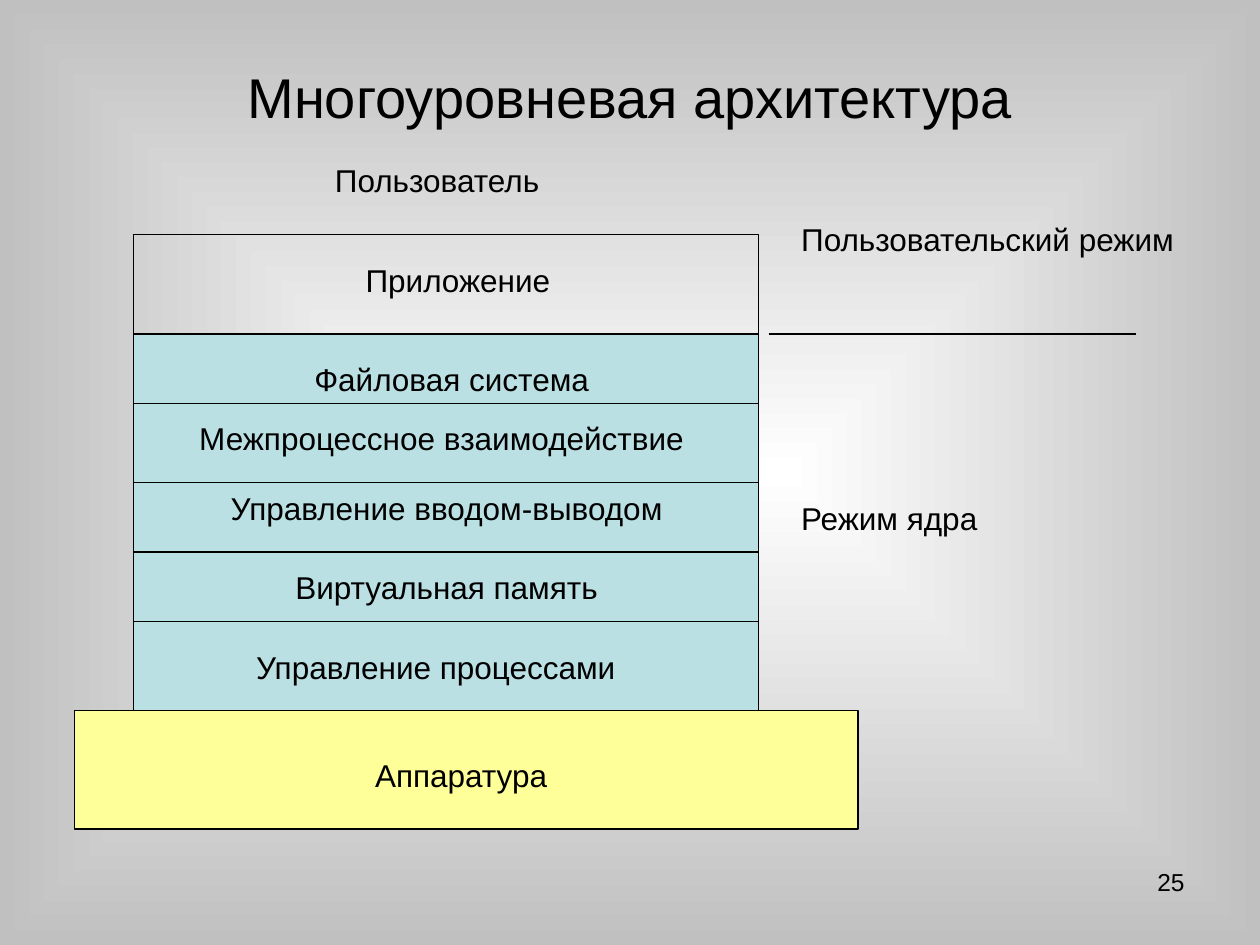
from lxml import etree
from pptx import Presentation
from pptx.dml.color import RGBColor
from pptx.enum.shapes import MSO_CONNECTOR, MSO_SHAPE
from pptx.enum.text import MSO_ANCHOR, PP_ALIGN
from pptx.oxml.ns import qn
from pptx.util import Inches, Pt

LEFT, CENTER, RIGHT = PP_ALIGN.LEFT, PP_ALIGN.CENTER, PP_ALIGN.RIGHT
MIDDLE = MSO_ANCHOR.MIDDLE
RECTANGLE = MSO_SHAPE.RECTANGLE
STRAIGHT = MSO_CONNECTOR.STRAIGHT

COLORS = {"ink": "000000", "kernel": "BBE0E3", "hardware": "FFFF99",
          "glow": "FFFFFF", "edge": "C0C0C0"}
FONT = "Arial"
TITLE = "Многоуровневая архитектура"
PAGE_NUMBER = "25"

STACK_LEFT, STACK_RIGHT = 1.06, 6.02
STACK_WIDTH = STACK_RIGHT - STACK_LEFT
APP_TOP, KERNEL_TOP, HARDWARE_TOP = 1.86, 2.65, 5.64
LAYER_BORDERS = [3.2, 3.83, 4.38, 4.93]
MODE_BORDER = (6.1, 9.02)
LABEL_HEIGHT = 0.4

BLOCKS = [
    (STACK_LEFT, KERNEL_TOP, STACK_WIDTH, HARDWARE_TOP - KERNEL_TOP, "kernel"),
    (STACK_LEFT, APP_TOP, STACK_WIDTH, KERNEL_TOP - APP_TOP, None),
    (0.59, HARDWARE_TOP, 6.22, 0.94, "hardware"),
]
LABELS = [
    ("Пользователь", 2.56, 1.23, 1.85, LEFT, False),
    ("Приложение", 2.8, 2.02, 1.67, CENTER, False),
    ("Файловая система", 1.38, 2.81, 4.41, CENTER, True),
    ("Межпроцессное взаимодействие", 1.22, 3.28, 4.57, CENTER, True),
    ("Управление вводом-выводом", 1.22, 3.83, 4.65, CENTER, True),
    ("Виртуальная память", 1.22, 4.46, 4.65, CENTER, True),
    ("Управление процессами", 1.06, 5.09, 4.8, CENTER, True),
    ("Аппаратура", 1.22, 5.95, 4.88, CENTER, True),
    ("Пользовательский режим", 6.26, 1.7, 3.31, LEFT, True),
    ("Режим ядра", 6.26, 3.91, 3.23, LEFT, True),
]


def color(name):
    return RGBColor.from_string(COLORS[name])


def write(frame, text, size, align):
    paragraph = frame.paragraphs[0]
    paragraph.alignment = align
    run = paragraph.add_run()
    run.text = text
    run.font.name = FONT
    run.font.size = Pt(size)
    run.font.color.rgb = color("ink")


def add_label(text, left, top, width, align, wrap, height=LABEL_HEIGHT, size=18):
    label = slide.shapes.add_textbox(*map(Inches, (left, top, width, height)))
    label.text_frame.word_wrap = wrap
    write(label.text_frame, text, size, align)


def outline(part):
    part.line.color.rgb = color("ink")
    part.line.width = Pt(0.75)


def add_block(left, top, width, height, fill):
    block = slide.shapes.add_shape(RECTANGLE, *map(Inches, (left, top, width, height)))
    block.shadow.inherit = False
    if fill:
        block.fill.solid()
        block.fill.fore_color.rgb = color(fill)
    else:
        block.fill.background()
    outline(block)


def add_border(start, end, y):
    border = slide.shapes.add_connector(STRAIGHT, *map(Inches, (start, y, end, y)))
    outline(border)
    etree.SubElement(border._element.spPr, qn("a:effectLst"))


def paint_background():
    fill = slide.background.fill
    fill.gradient()
    for stop, name, position in zip(fill.gradient_stops, ("glow", "edge"), (0, 1)):
        stop.color.rgb = color(name)
        stop.position = position
    gradient = slide.background._cSld.find(".//" + qn("a:gradFill"))
    linear = gradient.find(qn("a:lin"))
    shape_path = etree.Element(qn("a:path"), {"path": "shape"})
    sides = {side: "50000" for side in "ltrb"}
    etree.SubElement(shape_path, qn("a:fillToRect"), sides)
    gradient.replace(linear, shape_path)


prs = Presentation()
prs.slide_width, prs.slide_height = Inches(10), Inches(7.5)
slide = prs.slides.add_slide(prs.slide_layouts[5])
paint_background()

title = slide.shapes.title
title.left, title.top, title.width, title.height = map(Inches, (0.5, 0.3, 9, 0.93))
title.text_frame.vertical_anchor = MIDDLE
write(title.text_frame, TITLE, 32, CENTER)

for block in BLOCKS:
    add_block(*block)
for y in LAYER_BORDERS:
    add_border(STACK_LEFT, STACK_RIGHT, y)
add_border(*MODE_BORDER, KERNEL_TOP)
for label in LABELS:
    add_label(*label)
add_label(PAGE_NUMBER, 7.17, 6.83, 2.33, RIGHT, True, height=0.52, size=14)

prs.save("out.pptx")
